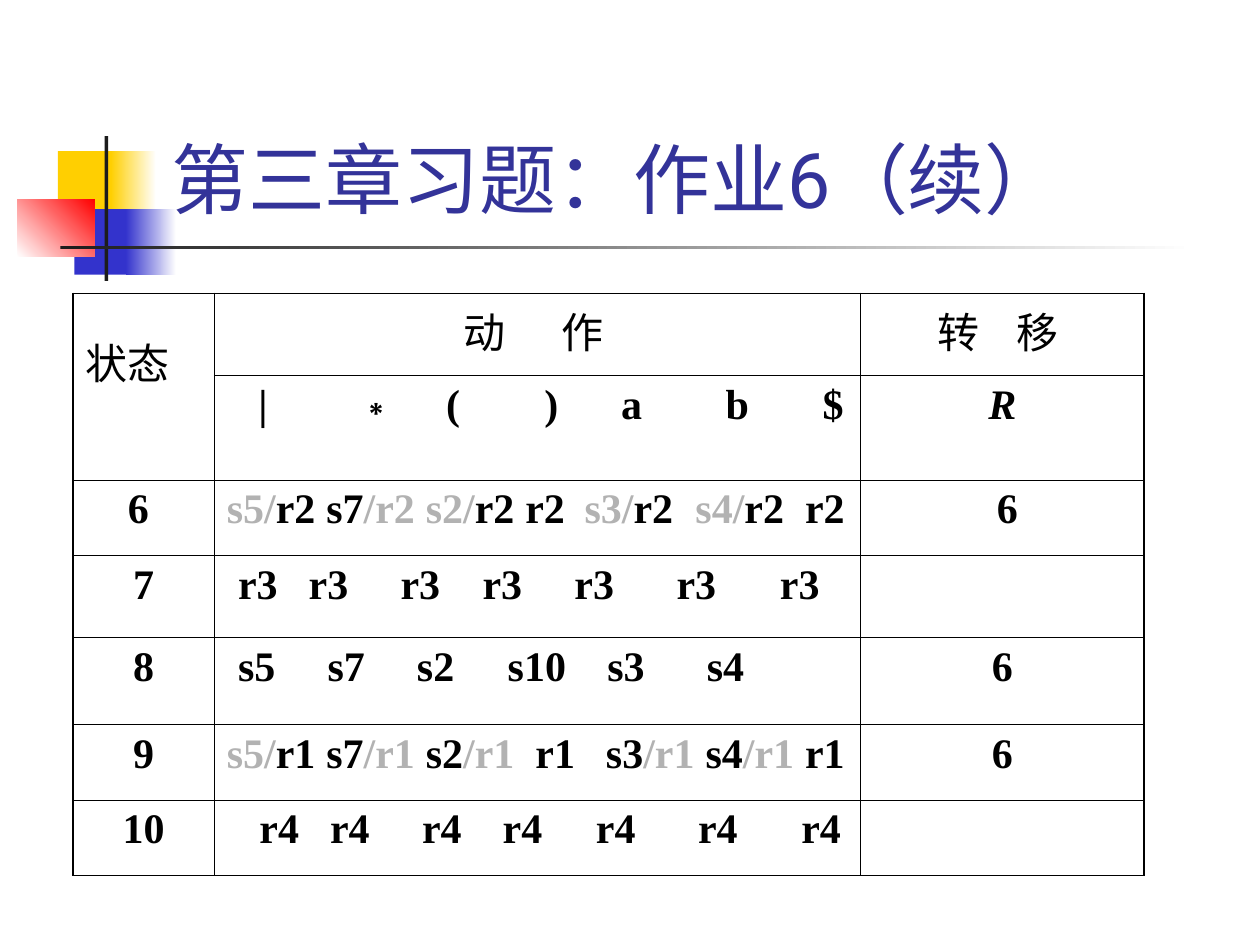
from lxml.etree import SubElement
from pptx import Presentation
from pptx.dml.color import RGBColor
from pptx.enum.shapes import MSO_SHAPE
from pptx.enum.text import MSO_ANCHOR, PP_ALIGN
from pptx.oxml.ns import qn
from pptx.util import Inches, Pt

TITLE = "第三章习题：作业6（续）"
SERIF, SANS, CJK = "Times New Roman", "Arial", "Noto Sans CJK SC"
BLACK, GREY = "000000", "B2B2B2"

DECOR = [
    ((0.46, 1.2, 0.48, 0.52), ["FFCF01"], 0),
    ((0.88, 1.2, 0.36, 0.52), ["FFCF01", "FFFFFF"], 0),
    ((0.59, 1.66, 0.46, 0.52), ["3333CC"], 0),
    ((1, 1.66, 0.4, 0.52), ["3333CC", "FFFFFF"], 0),
    ((0.14, 1.58, 0.61, 0.46), ["FFFFFF", "FF0000"], 45),
    ((0.83, 1.08, 0.03, 1.15), ["1C1C1C"], 0),
    ((0.48, 1.95, 9, 0.03), ["1C1C1C", "FFFFFF"], 0),
]

COLS = [1.12, 5.13, 2.25]
ROWS = [0.65, 0.83, 0.6, 0.65, 0.69, 0.6, 0.6]
# Square brackets mark text in a second style: Arial for the star, grey elsewhere.
ACTIONS = [
    (["|", "[∗]", "(", ")", "a", "b", "$"], [0.25, 1.02, 1.74, 2.52, 3.13, 3.96, 4.73]),
    (["[s5/]r2", "s7[/r2]", "[s2/]r2", "r2", "[s3/]r2", "[s4/]r2", "r2"],
     [0, 0.79, 1.58, 2.37, 2.84, 3.72, 4.59]),
    (["r3"] * 7, [0.09, 0.65, 1.38, 2.03, 2.76, 3.57, 4.39]),
    (["s5", "s7", "s2", "s10", "s3", "s4"], [0.09, 0.8, 1.51, 2.23, 3.02, 3.81]),
    (["[s5/]r1", "s7[/r1]", "s2[/r1]", "r1", "s3[/r1]", "s4[/r1]", "r1"],
     [0, 0.79, 1.58, 2.45, 3.01, 3.8, 4.59]),
    (["r4"] * 7, [0.26, 0.82, 1.55, 2.19, 2.93, 3.74, 4.56]),
]
HEADS = [(["动", "作"], [1.88, 2.66]), (["转", "移"], [0.51, 1.14])]
STATES = ["6 ", "7", "8", "9", "10"]
GOTOS = [" R ", " 6", "", "6", "6", ""]


def rgb(value):
    return RGBColor.from_string(value)


def add_block(slide, box, colors, angle):
    sp = slide.shapes.add_shape(MSO_SHAPE.RECTANGLE, *map(Inches, box))
    sp.shadow.inherit = False
    sp.line.fill.background()
    if len(colors) == 1:
        sp.fill.solid()
        sp.fill.fore_color.rgb = rgb(colors[0])
        return
    sp.fill.gradient()
    sp.fill.gradient_angle = angle
    for stop, color in zip(sp.fill.gradient_stops, colors):
        stop.color.rgb = rgb(color)


def set_borders(cell, row, col):
    outer = {"lnL": col == 0, "lnR": col == len(COLS) - 1,
             "lnT": row == 0, "lnB": row == len(ROWS) - 1}
    tcPr = cell._tc.get_or_add_tcPr()
    for tag, edge in outer.items():
        ln = SubElement(tcPr, qn(f"a:{tag}"), w=str(Pt(1.08 if edge else 0.45)))
        fill = SubElement(ln, qn("a:solidFill"))
        SubElement(fill, qn("a:srgbClr"), val=BLACK)


def style(p, font=SERIF, bold=True, italic=False):
    p.font.size = Pt(24)
    p.font.name = font
    p.font.bold = bold
    p.font.italic = italic
    p.font.color.rgb = rgb(BLACK)
    p.space_before = Pt(6)


def put_centred(cell, text, italic=False):
    p = cell.text_frame.paragraphs[0]
    p.alignment = PP_ALIGN.CENTER
    style(p, italic=italic)
    p.add_run().text = text


def put_tabbed(cell, items, stops, font=SERIF, bold=True):
    p = cell.text_frame.paragraphs[0]
    tabs = SubElement(p._p.get_or_add_pPr(), qn("a:tabLst"))
    for stop in filter(None, stops):
        SubElement(tabs, qn("a:tab"), pos=str(Inches(stop)), algn="l")
    style(p, font, bold)
    text = ("\t" if stops[0] else "") + "\t".join(items)
    for i, piece in enumerate(text.replace("]", "[").split("[")):
        if not piece:
            continue
        r = p.add_run()
        r.text = piece
        if piece == "∗":
            r.font.name = SANS
        elif i % 2:
            r.font.color.rgb = rgb(GREY)


prs = Presentation()
prs.slide_width, prs.slide_height = Inches(10), Inches(7.5)
s = prs.slides.add_slide(prs.slide_layouts[6])

for block in DECOR:
    add_block(s, *block)

tf = s.shapes.add_textbox(*map(Inches, (1.26, 0.23, 8.52, 1.6))).text_frame
tf.word_wrap = True
tf.vertical_anchor = MSO_ANCHOR.BOTTOM
p = tf.paragraphs[0]
p.font.size = Pt(44)
p.font.name = "Roboto"
p.font.color.rgb = rgb("333399")
p.add_run().text = TITLE

table = s.shapes.add_table(len(ROWS), len(COLS), Inches(0.58), Inches(2.33),
                           Inches(sum(COLS)), Inches(sum(ROWS))).table
table.first_row = table.horz_banding = False
for column, width in zip(table.columns, COLS):
    column.width = Inches(width)
for i, height in enumerate(ROWS):
    table.rows[i].height = Inches(height)
    for j in range(len(COLS)):
        set_borders(table.cell(i, j), i, j)
        table.cell(i, j).fill.background()

table.cell(0, 0).merge(table.cell(1, 0))
p = table.cell(0, 0).text_frame.paragraphs[0]
style(p, bold=False)
p.line_spacing = 1.5
p.add_run().text = "状态"

for j, (items, stops) in enumerate(HEADS, 1):
    put_tabbed(table.cell(0, j), items, stops, CJK, False)
for i, (items, stops) in enumerate(ACTIONS, 1):
    put_tabbed(table.cell(i, 1), items, stops)
for i, state in enumerate(STATES, 2):
    put_centred(table.cell(i, 0), state)
for i, goto in enumerate(GOTOS, 1):
    if goto:
        put_centred(table.cell(i, 2), goto, italic=i == 1)

prs.save("out.pptx")
